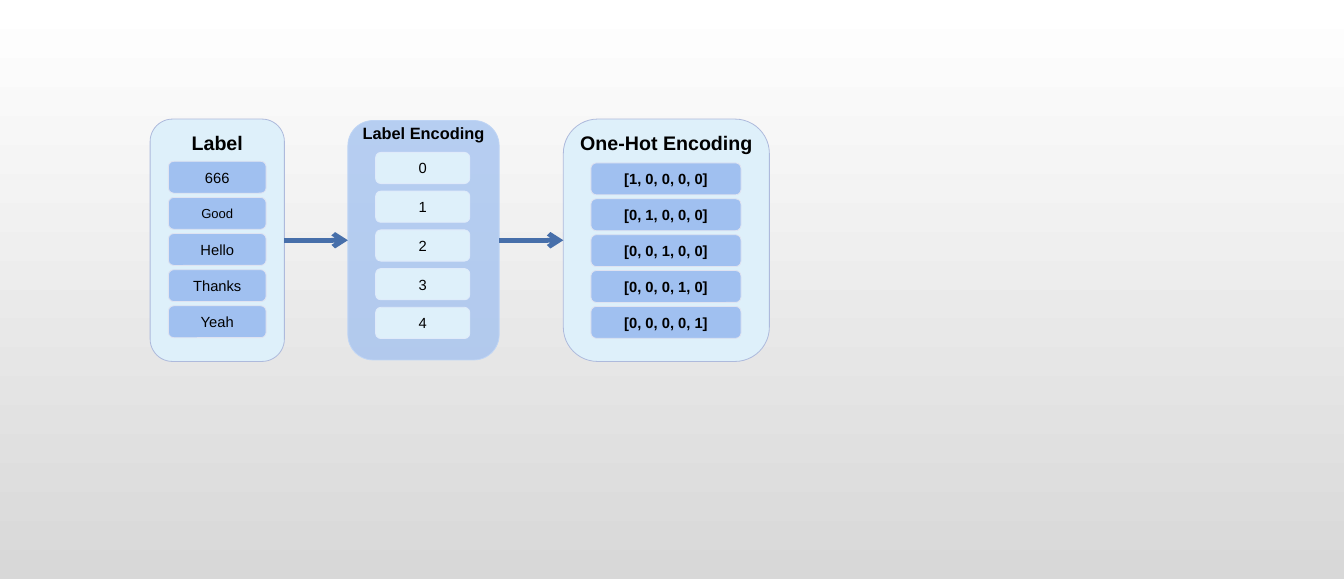
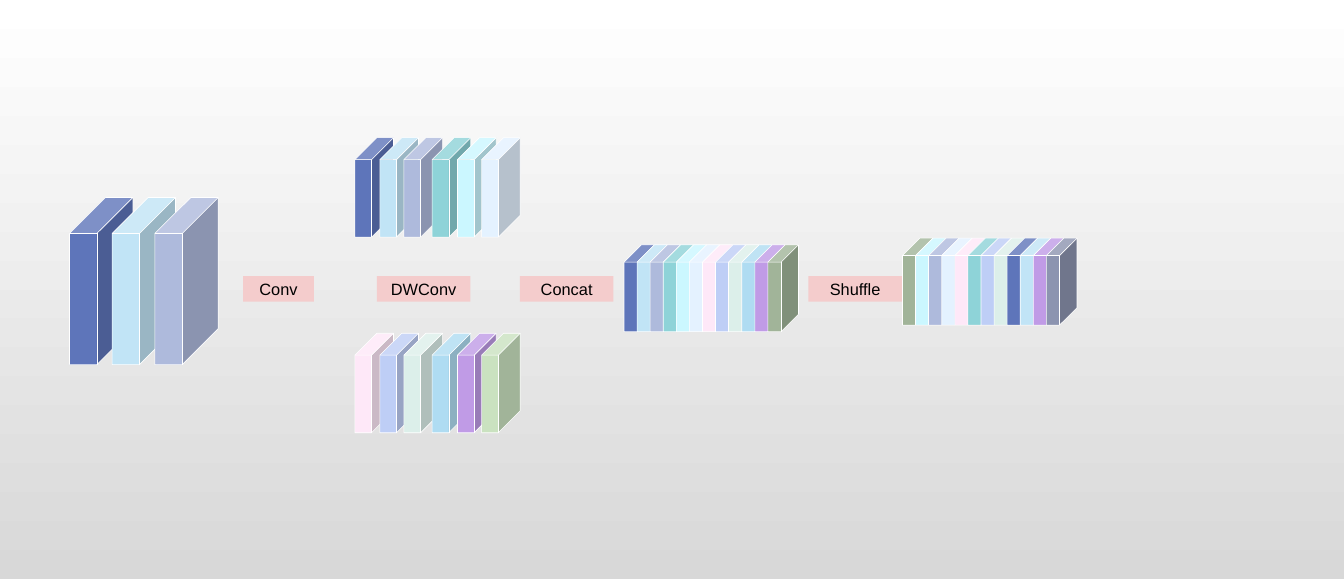
from lxml import etree
from pptx import Presentation
from pptx.dml.color import RGBColor
from pptx.enum.shapes import MSO_CONNECTOR, MSO_SHAPE
from pptx.enum.text import MSO_ANCHOR, PP_ALIGN
from pptx.oxml.ns import qn
from pptx.util import Pt

ROUNDED = MSO_SHAPE.FLOWCHART_ALTERNATE_PROCESS
CUBE = MSO_SHAPE.CUBE
RECTANGLE = MSO_SHAPE.RECTANGLE
STRAIGHT = MSO_CONNECTOR.STRAIGHT
CENTER = PP_ALIGN.CENTER
MIDDLE = MSO_ANCHOR.MIDDLE
LEFT_SIDE, RIGHT_SIDE = 1, 3

FONT = "Arial"
BLACK = RGBColor(0x00, 0x00, 0x00)
WHITE = RGBColor(0xFF, 0xFF, 0xFF)
BACKDROP_GRAY = RGBColor(0xD8, 0xD8, 0xD8)

# Encoding diagram
PALE_BLUE = RGBColor(0xDE, 0xF0, 0xFA)
MID_BLUE = RGBColor(0xA0, 0xC0, 0xF0)
PANEL_EDGE = RGBColor(0xAE, 0xBA, 0xDC)
ENCODING_EDGE = RGBColor(0xBF, 0xD5, 0xF5)
ROW_EDGE = RGBColor(0xDF, 0xE3, 0xF1)
CODE_EDGE = RGBColor(0xDF, 0xEA, 0xFA)
ARROW_BLUE = RGBColor(0x47, 0x6F, 0xAA)

# Feature channels
INDIGO = RGBColor(0x5E, 0x75, 0xBA)
SKY = RGBColor(0xC1, 0xE4, 0xF6)
LAVENDER = RGBColor(0xAE, 0xBA, 0xDC)
TEAL = RGBColor(0x8E, 0xD3, 0xD8)
CYAN = RGBColor(0xCB, 0xF7, 0xFF)
ICE = RGBColor(0xE4, 0xF2, 0xFF)
PINK = RGBColor(0xFE, 0xE8, 0xF8)
PERIWINKLE = RGBColor(0xBE, 0xCE, 0xF6)
MINT = RGBColor(0xDC, 0xEF, 0xEA)
AZURE = RGBColor(0xAF, 0xDC, 0xF2)
PURPLE = RGBColor(0xC0, 0x9B, 0xE6)
LIGHT_GREEN = RGBColor(0xCA, 0xE2, 0xC0)
SAGE = RGBColor(0xA1, 0xB4, 0x99)
SLATE = RGBColor(0x8C, 0x94, 0xB0)
OPERATION_PINK = RGBColor(0xF4, 0xCC, 0xCC)

INPUT_CHANNELS = [INDIGO, SKY, LAVENDER]
UPPER_BRANCH = [INDIGO, SKY, LAVENDER, TEAL, CYAN, ICE]
LOWER_BRANCH = [PINK, PERIWINKLE, MINT, AZURE, PURPLE, LIGHT_GREEN]
CONCATENATED = UPPER_BRANCH + LOWER_BRANCH[:-1] + [SAGE]
SHUFFLED = [SAGE, CYAN, LAVENDER, ICE, PINK, TEAL,
            PERIWINKLE, MINT, INDIGO, SKY, PURPLE, SLATE]

PANEL_MIDDLE = 294
CUBE_DEPTH = 0.568


def set_backdrop(master):
    fill = master.background.fill
    fill.gradient()
    fill.gradient_angle = 270
    for stop, color in zip(fill.gradient_stops, (WHITE, BACKDROP_GRAY)):
        stop.color.rgb = color


def add_block(slide, kind, box, fill, edge=None, edge_width=1):
    block = slide.shapes.add_shape(kind, *map(Pt, box))
    block.shadow.inherit = False
    block.fill.solid()
    block.fill.fore_color.rgb = fill
    if edge is None:
        block.line.fill.background()
    else:
        block.line.color.rgb = edge
        block.line.width = Pt(edge_width)
    return block


def write(shape, text, size, bold=False):
    paragraph = shape.text_frame.paragraphs[0]
    paragraph.alignment = CENTER
    run = paragraph.add_run()
    run.text = text
    run.font.name = FONT
    run.font.size = Pt(size)
    run.font.bold = bold
    run.font.color.rgb = BLACK


def set_opacity(shape, percent):
    color = shape.fill._xPr.find(qn("a:solidFill"))[0]
    etree.SubElement(color, qn("a:alpha")).set("val", str(percent * 1000))


def add_panel(slide, left, width, height, fill, edge):
    top = PANEL_MIDDLE - height / 2
    return add_block(slide, ROUNDED, (left, top, width, height), fill, edge)


def add_heading(slide, panel, top, text, size):
    heading = slide.shapes.add_textbox(panel.left, Pt(top), panel.width, Pt(41))
    heading.text_frame.word_wrap = True
    write(heading, text, size, bold=True)


def add_rows(slide, texts, box, pitch, fill, edge, bold=False, sizes=None):
    left, top, width, height = box
    for i, text in enumerate(texts):
        row = add_block(slide, ROUNDED, (left, top + i * pitch, width, height),
                        fill, edge)
        row.text_frame.vertical_anchor = MIDDLE
        write(row, text, (sizes or {}).get(text, 18), bold)


def add_arrow(slide, source, target):
    arrow = slide.shapes.add_connector(STRAIGHT, 0, 0, 0, 0)
    arrow.begin_connect(source, RIGHT_SIDE)
    arrow.end_connect(target, LEFT_SIDE)
    arrow.line.color.rgb = ARROW_BLUE
    arrow.line.width = Pt(5.75)
    etree.SubElement(arrow.line._get_or_add_ln(), qn("a:tailEnd")).set("type", "arrow")
    etree.SubElement(arrow._element.spPr, qn("a:effectLst"))


def add_channels(slide, lefts, top, width, height, colors):
    for left, color in zip(lefts, colors):
        channel = add_block(slide, CUBE, (left, top, width, height),
                            color, WHITE, 0.75)
        channel.adjustments[0] = CUBE_DEPTH


def add_operation(slide, left, width, text):
    operation = add_block(slide, RECTANGLE, (left, 338, width, 31), OPERATION_PINK)
    frame = operation.text_frame
    frame.vertical_anchor = MIDDLE
    frame.margin_left = frame.margin_right = Pt(7.2)
    frame.margin_top = frame.margin_bottom = Pt(7.2)
    write(operation, text, 20)


def evenly(start, pitch, count):
    return [start + i * pitch for i in range(count)]


def build_encoding(slide):
    # Panels and the arrows between them
    label = add_panel(slide, 183.6, 164.2, 296.6, PALE_BLUE, PANEL_EDGE)
    encoding = add_panel(slide, 425.5, 185, 293, MID_BLUE, ENCODING_EDGE)
    set_opacity(encoding, 74)
    one_hot = add_panel(slide, 689, 252, 296.6, PALE_BLUE, PANEL_EDGE)
    add_arrow(slide, label, encoding)
    add_arrow(slide, encoding, one_hot)

    # Headings
    add_heading(slide, label, 157, "Label", 24)
    add_heading(slide, encoding, 147, "Label Encoding", 20)
    add_heading(slide, one_hot, 156.5, "One-Hot Encoding", 24)

    # Words, their codes and their vectors
    words = ["666", "Good", "Hello", "Thanks", "Yeah"]
    indexes = range(len(words))
    codes = [str(i) for i in indexes]
    vectors = [str([int(i == j) for j in indexes]) for i in indexes]
    add_rows(slide, words, (206, 197.4, 119.5, 39), 44.2, MID_BLUE, ROW_EDGE,
             sizes={"Good": 16})
    add_rows(slide, codes, (459.4, 186.5, 115.2, 38.2), 47.4, PALE_BLUE, CODE_EDGE)
    add_rows(slide, vectors, (722.7, 199.4, 183.6, 39), 43.9, MID_BLUE, ROW_EDGE,
             bold=True)


def build_shuffle(slide):
    # Channel stacks
    add_channels(slide, evenly(85, 52.2, 3), 241.7, 77.5, 204.5, INPUT_CHANNELS)
    branch_lefts = [434, 464.5, 494, 528.5, 559.5, 589]
    add_channels(slide, branch_lefts, 168.5, 47.3, 121.7, UPPER_BRANCH)
    add_channels(slide, branch_lefts, 407.8, 47.3, 121.7, LOWER_BRANCH)
    add_channels(slide, evenly(763.2, 16, 12), 299.5, 37.4, 106.3, CONCATENATED)
    add_channels(slide, evenly(1103.8, 16, 12), 291.5, 37.4, 106.3, SHUFFLED)

    # Operations between the stacks
    for left, width, text in [(297.4, 86.4, "Conv"), (460.8, 114.5, "DWConv"),
                              (635.8, 114.5, "Concat"), (988.6, 114.5, "Shuffle")]:
        add_operation(slide, left, width, text)


def main():
    prs = Presentation()
    prs.slide_width, prs.slide_height = Pt(1643.76), Pt(708.48)
    set_backdrop(prs.slide_master)
    blank = prs.slide_layouts[6]
    for build in (build_encoding, build_shuffle):
        build(prs.slides.add_slide(blank))
    prs.save("out.pptx")


if __name__ == "__main__":
    main()
